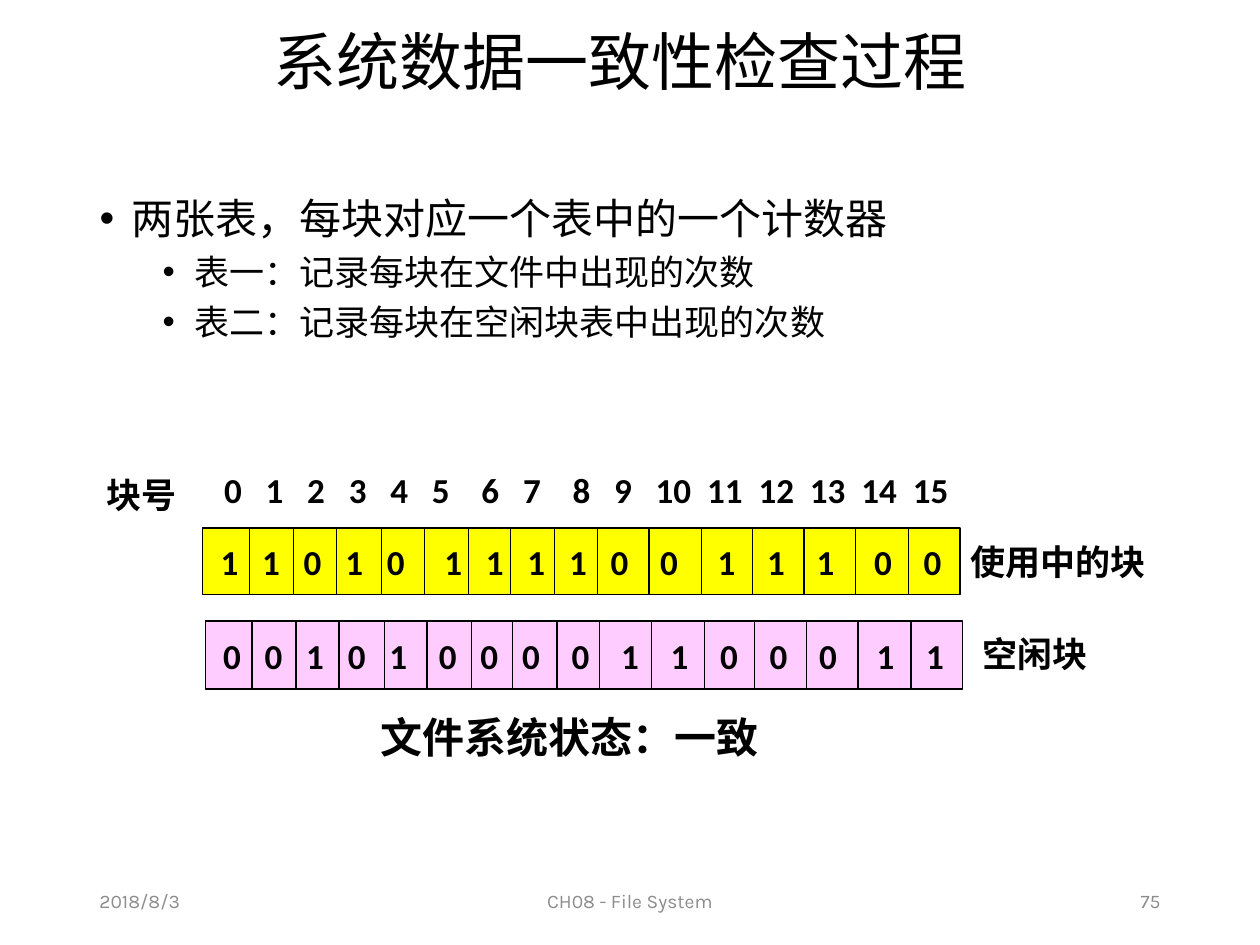
from dataclasses import dataclass
from itertools import accumulate

from lxml.etree import SubElement
from pptx import Presentation
from pptx.dml.color import RGBColor
from pptx.enum.shapes import MSO_CONNECTOR, MSO_SHAPE
from pptx.enum.text import MSO_ANCHOR, PP_ALIGN
from pptx.oxml.ns import qn
from pptx.util import Inches, Pt

BLACK = RGBColor(0x00, 0x00, 0x00)
GRAY = RGBColor(0x8C, 0x8C, 0x8C)
YELLOW = RGBColor(0xFF, 0xFF, 0x00)
PINK = RGBColor(0xFF, 0xCC, 0xFF)

WIDTH, HEIGHT = Inches(10), Inches(7.5)
COL, ROW = WIDTH / 100, HEIGHT / 75
HAN, LATIN, SMALL = "Noto Sans CJK SC", "Calibri", "Karla"
DIGIT, SPACE = 1.41, 0.63
EDGES = (3.7, 7.2, 10.6, 14.2, 17.6, 21.1, 24.4, 27.9,
         31.3, 35.4, 39.6, 43.6, 47.7, 51.8, 56)


@dataclass
class Box:
    left: float
    top: float
    width: float
    height: float

    def place(self) -> tuple[int, int, int, int]:
        return (int(self.left * COL), int(self.top * ROW),
                int(self.width * COL), int(self.height * ROW))


@dataclass
class Bar:
    box: Box
    fill: RGBColor
    digits: str
    gaps: str
    label: str
    side: Box
    inset: float


@dataclass
class Item:
    text: str
    level: int
    size: int
    indent: float
    before: float


@dataclass
class Foot:
    text: str
    box: Box
    align: PP_ALIGN


BARS = (
    Bar(Box(16.1, 41.9, 60.1, 5.3), YELLOW, "1101011110011100",
        "333353333454454", "使用中的块", Box(76.8, 42.4, 15.7, 4.4), 0.02),
    Bar(Box(16.3, 49.3, 60.1, 5.4), PINK, "0010100001100011",
        "333343344444454", "空闲块", Box(77, 49.7, 10.6, 4.3), 0.1),
)
ITEMS = (
    Item("两张表，每块对应一个表中的一个计数器", 0, 24, 0.25, 0),
    Item("表一：记录每块在文件中出现的次数", 1, 20, 0.75, 2),
    Item("表二：记录每块在空闲块表中出现的次数", 1, 20, 0.75, 2),
)
FEET = (
    Foot("2018/8/3", Box(6.9, 69.5, 22.5, 4), PP_ALIGN.LEFT),
    Foot("CH08 - File System", Box(33.1, 69.5, 33.8, 4), PP_ALIGN.CENTER),
    Foot("75", Box(70.6, 69.5, 22.5, 4), PP_ALIGN.RIGHT),
)


def write(para, text: str, *, size: float = 20, font: str = LATIN,
          color: RGBColor = BLACK, bold: bool = False,
          align: PP_ALIGN = PP_ALIGN.LEFT) -> None:
    run = para.add_run()
    run.text = text
    para.alignment = align
    run.font.size, run.font.name = Pt(size), font
    run.font.color.rgb, run.font.bold = color, bold
    if font == HAN:
        SubElement(run.font._element, qn("a:ea"), typeface=font)


def add_text(slide, box: Box, text: str, *, inset: float = 0.1,
             anchor: MSO_ANCHOR = MSO_ANCHOR.TOP, **style):
    frame = slide.shapes.add_textbox(*box.place()).text_frame
    frame.word_wrap = True
    frame.vertical_anchor = anchor
    frame.margin_left = frame.margin_right = Inches(inset)
    write(frame.paragraphs[0], text, **style)
    return frame


def set_tabs(para, words: list[str], gaps: str) -> None:
    tabs = SubElement(para._p.get_or_add_pPr(), qn("a:tabLst"))
    steps = (len(word) * DIGIT + int(gap) * SPACE
             for word, gap in zip(words, gaps))
    for stop in accumulate(steps):
        SubElement(tabs, qn("a:tab"), pos=str(int(stop * COL)), algn="l")


def draw_line(slide, left: float, top: float, height: float) -> None:
    line = slide.shapes.add_connector(
        MSO_CONNECTOR.STRAIGHT, int(left * COL), int(top * ROW),
        int(left * COL), int((top + height) * ROW))
    line.line.color.rgb, line.line.width = BLACK, Pt(0.75)
    SubElement(line._element.spPr, qn("a:effectLst"))


def draw_bar(slide, bar: Bar) -> None:
    rect = slide.shapes.add_shape(MSO_SHAPE.RECTANGLE, *bar.box.place())
    rect.shadow.inherit = False
    rect.fill.solid()
    rect.fill.fore_color.rgb = bar.fill
    rect.line.color.rgb, rect.line.width = BLACK, Pt(0.75)
    frame = rect.text_frame
    frame.margin_left, frame.word_wrap = Inches(0.14), True
    frame.vertical_anchor = MSO_ANCHOR.MIDDLE
    para = frame.paragraphs[0]
    set_tabs(para, list(bar.digits), bar.gaps)
    write(para, "\t".join(bar.digits), bold=True)
    for edge in EDGES:
        draw_line(slide, bar.box.left + edge, bar.box.top, bar.box.height)
    add_text(slide, bar.side, bar.label, inset=bar.inset, bold=True)


def fill_title(shape) -> None:
    shape.left, shape.top, shape.width, shape.height = Box(
        6.1, 1.4, 86.2, 7.6).place()
    shape.text_frame.vertical_anchor = MSO_ANCHOR.MIDDLE
    para = shape.text_frame.paragraphs[0]
    para.line_spacing = 0.9
    write(para, "系统数据一致性检查过程", size=36, font=HAN,
          align=PP_ALIGN.CENTER)


def fill_list(shape) -> None:
    shape.left, shape.top, shape.width, shape.height = Box(
        6.9, 14.4, 86.2, 53.8).place()
    frame = shape.text_frame
    for rank, item in enumerate(ITEMS):
        para = frame.add_paragraph() if rank else frame.paragraphs[0]
        para.level, para.line_spacing = item.level, 1.1
        para.space_before = Pt(item.before)
        props = para._p.get_or_add_pPr()
        props.set("marL", str(Inches(item.indent)))
        props.set("indent", str(Inches(-0.25)))
        SubElement(props, qn("a:buFont"), typeface="Arial")
        SubElement(props, qn("a:buChar"), char="•")
        write(para, item.text, size=item.size, font=HAN)


def main() -> None:
    deck = Presentation()
    deck.slide_width, deck.slide_height = WIDTH, HEIGHT
    slide = deck.slides.add_slide(deck.slide_layouts[1])
    fill_title(slide.shapes.title)
    fill_list(slide.placeholders[1])
    for foot in FEET:
        add_text(slide, foot.box, foot.text, anchor=MSO_ANCHOR.MIDDLE,
                 size=11, font=SMALL, color=GRAY, align=foot.align)
    add_text(slide, Box(7.5, 37.1, 7.9, 4.3), "块号", bold=True)
    words = [str(block) for block in range(16)]
    head = add_text(slide, Box(16.8, 36.7, 60.9, 4.4), "\t".join(words),
                    bold=True)
    set_tabs(head.paragraphs[0], words, "333334343322222")
    for bar in BARS:
        draw_bar(slide, bar)
    add_text(slide, Box(29.2, 56, 33.4, 5), "文件系统状态：一致",
             size=24, bold=True)
    deck.save("out.pptx")


if __name__ == "__main__":
    main()
